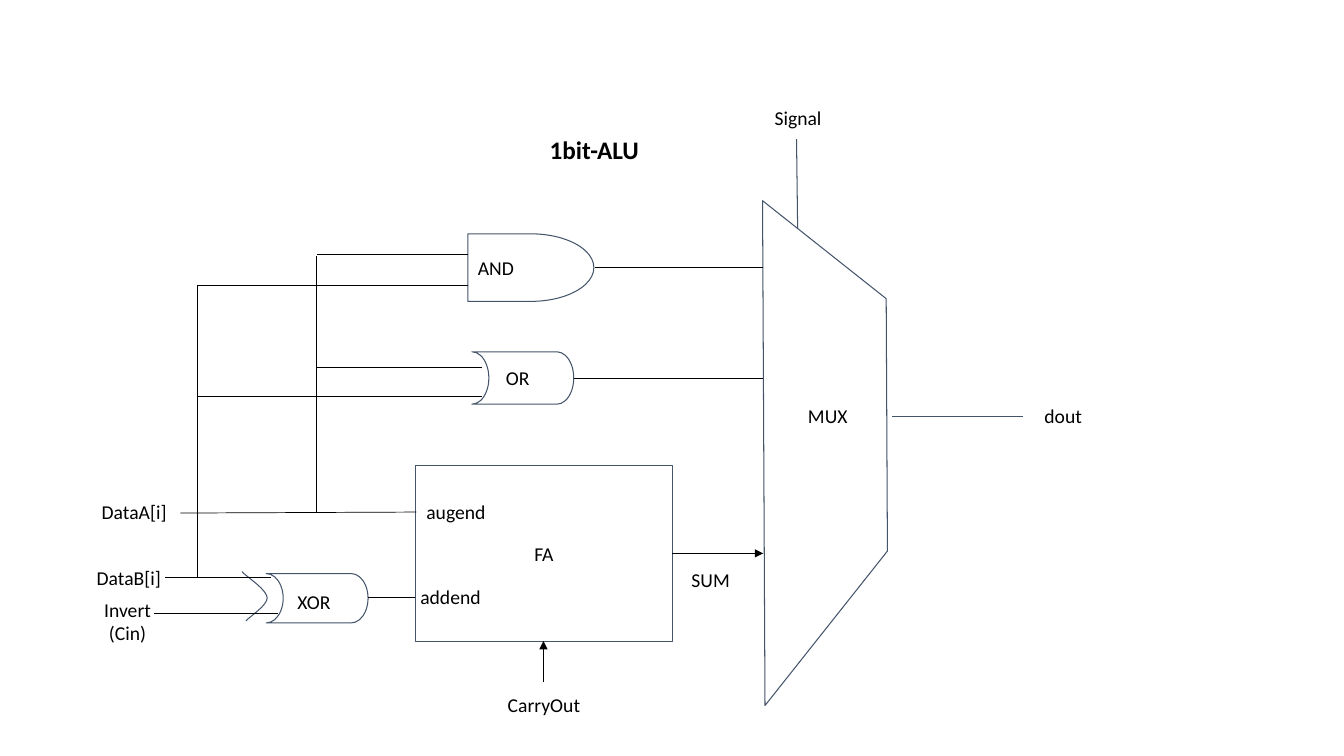
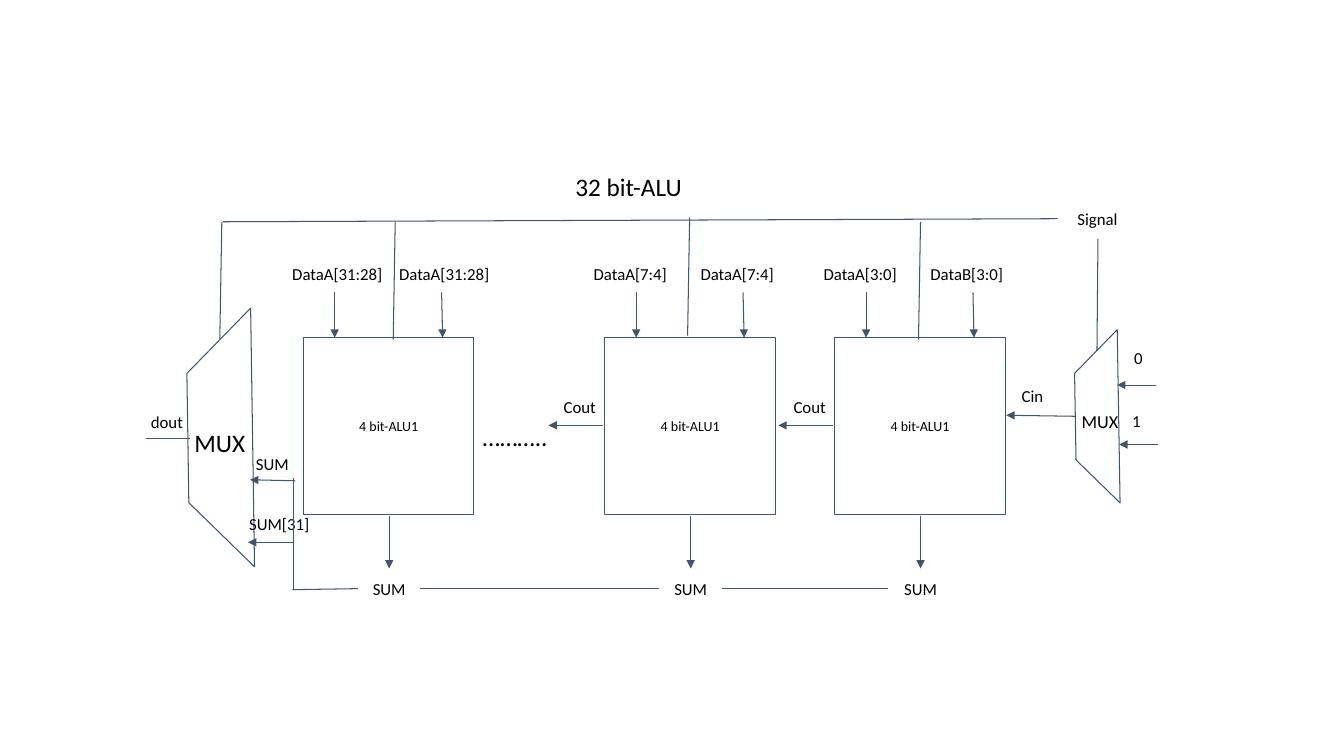
from dataclasses import dataclass
from typing import Sequence

from lxml.etree import SubElement
from pptx import Presentation
from pptx.dml.color import RGBColor
from pptx.enum.shapes import MSO_CONNECTOR, MSO_SHAPE
from pptx.enum.text import MSO_ANCHOR, MSO_AUTO_SIZE, PP_ALIGN
from pptx.oxml.ns import qn
from pptx.shapes.autoshape import Shape
from pptx.slide import Slide
from pptx.text.text import TextFrame
from pptx.util import Inches, Pt

NAVY = RGBColor(0x44, 0x54, 0x6A)
BLACK = RGBColor(0, 0, 0)
WHITE = RGBColor(0xFF, 0xFF, 0xFF)
FONT = "Calibri"
MARGIN = 0.1
LINE_SPACING = 1.22
LEFT, CENTER = PP_ALIGN.LEFT, PP_ALIGN.CENTER


@dataclass(frozen=True)
class Label:
    """A text with its left, top and width in inches."""
    text: str
    x: float
    y: float
    w: float
    size: float = 14
    align: PP_ALIGN = CENTER


@dataclass(frozen=True)
class Wire:
    """A straight line, with an optional arrowhead at its end."""
    x1: float
    y1: float
    x2: float
    y2: float
    arrow: bool = False
    color: RGBColor = NAVY
    width: float = 0.75


@dataclass(frozen=True)
class Block:
    """An outlined preset shape, with an optional caption."""
    kind: MSO_SHAPE
    x: float
    y: float
    w: float
    h: float
    rotation: float = 0
    text: str = ""
    size: float = 14
    align: PP_ALIGN = CENTER


@dataclass(frozen=True)
class AluStage:
    """A 4-bit unit of the 32-bit ALU and the wires that reach it."""
    x: float
    inputs: tuple[str, str]
    label_width: float
    tap_x: float
    tap_top: float
    tap_bottom: float
    carries_out: bool = True


def write_text(frame: TextFrame, text: str, size: float, align: PP_ALIGN,
               bold: bool = False) -> None:
    """Fill a frame with one paragraph per line of the text."""
    frame.text = text
    frame.word_wrap = True
    frame.margin_left = frame.margin_right = Inches(MARGIN)
    frame.margin_top = frame.margin_bottom = Inches(MARGIN)
    for paragraph in frame.paragraphs:
        paragraph.alignment = align
        font = paragraph.font
        font.name, font.size, font.bold = FONT, Pt(size), bold
        font.color.rgb = BLACK


def add_label(slide: Slide, label: Label) -> None:
    """Draw a label as a text box as tall as its lines."""
    lines = label.text.count("\n") + 1
    height = 2 * MARGIN + lines * label.size * LINE_SPACING / 72
    box = slide.shapes.add_textbox(
        Inches(label.x), Inches(label.y), Inches(label.w), Inches(height))
    write_text(box.text_frame, label.text, label.size, label.align)
    box.text_frame.auto_size = MSO_AUTO_SIZE.SHAPE_TO_FIT_TEXT


def add_wire(slide: Slide, wire: Wire) -> None:
    """Draw a wire as a connector."""
    connector = slide.shapes.add_connector(
        MSO_CONNECTOR.STRAIGHT, Inches(wire.x1), Inches(wire.y1),
        Inches(wire.x2), Inches(wire.y2))
    connector.line.color.rgb = wire.color
    connector.line.width = Pt(wire.width)
    properties = connector._element.spPr
    if wire.arrow:
        SubElement(properties.find(qn("a:ln")), qn("a:tailEnd"), type="triangle")
    SubElement(properties, qn("a:effectLst"))


def outline(shape: Shape) -> None:
    """Give a shape the thin navy outline and no shadow."""
    shape.shadow.inherit = False
    shape.line.color.rgb = NAVY
    shape.line.width = Pt(0.75)


def add_block(slide: Slide, block: Block) -> None:
    """Draw a white block and its caption."""
    shape = slide.shapes.add_shape(
        block.kind, Inches(block.x), Inches(block.y), Inches(block.w), Inches(block.h))
    shape.rotation = block.rotation
    shape.fill.solid()
    shape.fill.fore_color.rgb = WHITE
    outline(shape)
    if block.text:
        write_text(shape.text_frame, block.text, block.size, block.align)
        shape.text_frame.vertical_anchor = MSO_ANCHOR.MIDDLE


def add_curve(slide: Slide, points: Sequence[tuple[float, float]], steps: int = 12) -> None:
    """Draw an open chain of cubic Bezier curves, three points after each start."""
    traced = []
    for first in range(0, len(points) - 1, 3):
        a, b, c, d = points[first:first + 4]
        for step in range(1, steps + 1):
            t = step / steps
            u = 1 - t
            traced.append(tuple(
                Inches(u**3 * a[axis] + 3 * u * u * t * b[axis]
                       + 3 * u * t * t * c[axis] + t**3 * d[axis])
                for axis in (0, 1)))
    builder = slide.shapes.build_freeform(Inches(points[0][0]), Inches(points[0][1]))
    builder.add_line_segments(traced, close=False)
    curve = builder.convert_to_shape()
    curve.fill.background()
    outline(curve)


def new_slide(deck: Presentation, title: Label, bold: bool = False) -> Slide:
    """Add a title-only slide and place its title."""
    slide = deck.slides.add_slide(deck.slide_layouts[5])
    heading = slide.shapes.title
    heading.left, heading.top = Inches(title.x), Inches(title.y)
    heading.width, heading.height = Inches(title.w), Inches(0.5)
    write_text(heading.text_frame, title.text, title.size, title.align, bold)
    heading.text_frame.vertical_anchor = MSO_ANCHOR.TOP
    heading.text_frame.auto_size = MSO_AUTO_SIZE.NONE
    return slide


def draw_all(slide: Slide, blocks: Sequence[Block], labels: Sequence[Label],
             wires: Sequence[Wire]) -> None:
    """Draw blocks, then labels, then wires."""
    for block in blocks:
        add_block(slide, block)
    for label in labels:
        add_label(slide, label)
    for wire in wires:
        add_wire(slide, wire)


def gate_wire(x1: float, y1: float, x2: float, y2: float, arrow: bool = False) -> Wire:
    """Return a thin black wire between gates."""
    return Wire(x1, y1, x2, y2, arrow, BLACK, 0.5)


def build_one_bit_alu(deck: Presentation) -> None:
    """Build the gate diagram of the 1-bit ALU."""
    slide = new_slide(deck, Label("1bit-ALU", 5.33, 1.23, 1.13, 18), bold=True)
    # The signal wire runs behind the multiplexer.
    add_wire(slide, Wire(7.9, 1.38, 7.92, 2.97, arrow=True))
    add_curve(slide, [(2.4, 5.67), (2.44, 5.72), (2.64, 5.84), (2.65, 5.93),
                      (2.65, 6.01), (2.47, 6.12), (2.44, 6.16)])
    blocks = [
        Block(MSO_SHAPE.FLOWCHART_DELAY, 4.64, 2.32, 1.25, 0.67, text="AND", align=LEFT),
        Block(MSO_SHAPE.FLOWCHART_STORED_DATA, 4.68, 3.49, 1.01, 0.52, 180),
        Block(MSO_SHAPE.FLOWCHART_STORED_DATA, 2.64, 5.69, 1.01, 0.49, 180),
        Block(MSO_SHAPE.RECTANGLE, 4.12, 4.62, 2.55, 1.74, text="FA"),
        Block(MSO_SHAPE.DIAGONAL_STRIPE, 5.62, 2.93, 3.91, 3.13, 128.4),
    ]
    labels = [
        Label("DataA[i]", 0.91, 4.86, 1.62, align=LEFT),
        Label("DataB[i]", 0.86, 5.51, 1.62, align=LEFT),
        Label("Invert\n(Cin)", 0.39, 5.83, 1.75),
        Label("Signal", 7.04, 0.95, 1.75),
        Label("OR", 4.92, 3.53, 1.09, align=LEFT),
        Label("XOR", 2.85, 5.75, 1.09, align=LEFT),
        Label("dout", 9.67, 3.91, 1.75),
        Label("SUM", 6.76, 5.53, 1.09, align=LEFT),
        Label("CarryOut", 4.34, 6.77, 2.11),
        Label("MUX", 7.47, 3.91, 1.48),
        Label("augend", 4.13, 4.86, 1.62, align=LEFT),
        Label("addend", 4.07, 5.7, 1.62, align=LEFT),
    ]
    bus_a, bus_b, mux_edge = 3.14, 1.96, 7.57
    wires = [
        Wire(8.85, 4.13, 10.15, 4.13),
        gate_wire(6.67, 5.49, mux_edge, 5.49, arrow=True),
        gate_wire(5.39, 6.77, 5.39, 6.36, arrow=True),
        gate_wire(1.64, 5.73, 2.69, 5.73),
        gate_wire(1.53, 6.09, 2.76, 6.09),
        gate_wire(1.79, 5.09, 4.13, 5.08),
        gate_wire(3.65, 5.93, 4.12, 5.93),
        gate_wire(bus_b, 5.73, bus_b, 2.83),
        gate_wire(bus_b, 2.83, 4.64, 2.83),
        gate_wire(bus_b, 3.93, 4.78, 3.93),
        gate_wire(bus_a, 5.08, bus_a, 2.54),
        gate_wire(bus_a, 2.52, 4.64, 2.52),
        gate_wire(bus_a, 3.64, 4.78, 3.64),
        gate_wire(5.9, 2.65, mux_edge, 2.65),
        gate_wire(5.69, 3.75, mux_edge, 3.75),
    ]
    draw_all(slide, blocks, labels, wires)


def add_stage(slide: Slide, stage: AluStage) -> None:
    """Draw a 4-bit unit with its inputs, sum, carry and signal tap."""
    x = stage.x
    block = Block(MSO_SHAPE.RECTANGLE, x, 3.35, 1.69, 1.75, text="4 bit-ALU1", size=10)
    labels = [Label("SUM", x + 0.54, 5.64, 0.62, 12)]
    wires = [Wire(x + 0.85, 5.12, x + 0.85, 5.64, arrow=True),
             Wire(stage.tap_x, stage.tap_bottom, stage.tap_x + 0.02, stage.tap_top)]
    for column, (name, lean) in enumerate(zip(stage.inputs, (0, 0.01))):
        shift = x + 1.06 * column
        labels.append(Label(name, shift - 0.21, 2.52, stage.label_width, 12, LEFT))
        wires.append(Wire(shift + 0.31, 2.9, shift + 0.31 + lean, 3.35, arrow=True))
    if stage.carries_out:
        labels.append(Label("Cout", x - 0.56, 3.84, 0.62, 12))
        wires.append(Wire(x - 0.02, 4.22, x - 0.56, 4.22, arrow=True))
    draw_all(slide, [block], labels, wires)


def build_32_bit_alu(deck: Presentation) -> None:
    """Build the chain of 4-bit units that forms the 32-bit ALU."""
    slide = new_slide(deck, Label("32 bit-ALU", 5.43, 1.6, 1.61, 18))
    stages = [
        AluStage(8.28, ("DataA[3:0]", "DataB[3:0]"), 1.06, 9.11, 2.2, 3.37),
        AluStage(6, ("DataA[7:4]", "DataA[7:4]"), 1.06, 6.82, 2.16, 3.33),
        AluStage(3.01, ("DataA[31:28]", "DataA[31:28]"), 1.18, 3.9, 2.2, 3.37, False),
    ]
    for stage in stages:
        add_stage(slide, stage)
    blocks = [
        Block(MSO_SHAPE.DIAGONAL_STRIPE, 1.6, 3.43, 1.81, 1.82, 314.3),
        Block(MSO_SHAPE.DIAGONAL_STRIPE, 10.49, 3.52, 1.21, 1.22, 314.3),
    ]
    labels = [
        Label("Cin", 9.93, 3.73, 0.62, 12),
        Label("Signal", 10.49, 1.97, 0.79, 12),
        Label("dout", 1.26, 3.98, 0.79, 12),
        Label("………..", 4.66, 4.08, 0.9, 18),
        Label("MUX", 1.82, 4.14, 0.72, 18),
        Label("MUX", 10.55, 3.97, 0.72, 13),
        Label("0", 10.98, 3.35, 0.62, 12),
        Label("1", 10.96, 3.97, 0.62, 12),
        Label("SUM[31]", 2.32, 5, 0.9, 12),
        Label("SUM", 2.39, 4.4, 0.62, 12),
    ]
    wires = [
        Wire(10.67, 4.13, 9.98, 4.12, arrow=True),
        Wire(11.47, 3.82, 11.08, 3.82, arrow=True),
        Wire(11.49, 4.41, 11.1, 4.41, arrow=True),
        Wire(2.93, 4.77, 2.48, 4.76, arrow=True),
        Wire(2.91, 5.38, 2.46, 5.38, arrow=True),
        Wire(1.88, 4.35, 1.45, 4.35),
        Wire(8.81, 5.84, 7.16, 5.84),
        Wire(4.17, 5.84, 6.54, 5.84),
        Wire(3.55, 5.84, 2.9, 5.85),
        Wire(2.91, 5.85, 2.91, 4.74),
        Wire(10.89, 2.37, 10.88, 3.48),
        Wire(10.49, 2.17, 2.21, 2.2),
        Wire(2.18, 3.37, 2.2, 2.2),
    ]
    draw_all(slide, blocks, labels, wires)


presentation = Presentation()
presentation.slide_width, presentation.slide_height = Inches(13.33), Inches(7.5)
build_one_bit_alu(presentation)
build_32_bit_alu(presentation)
presentation.save("out.pptx")
